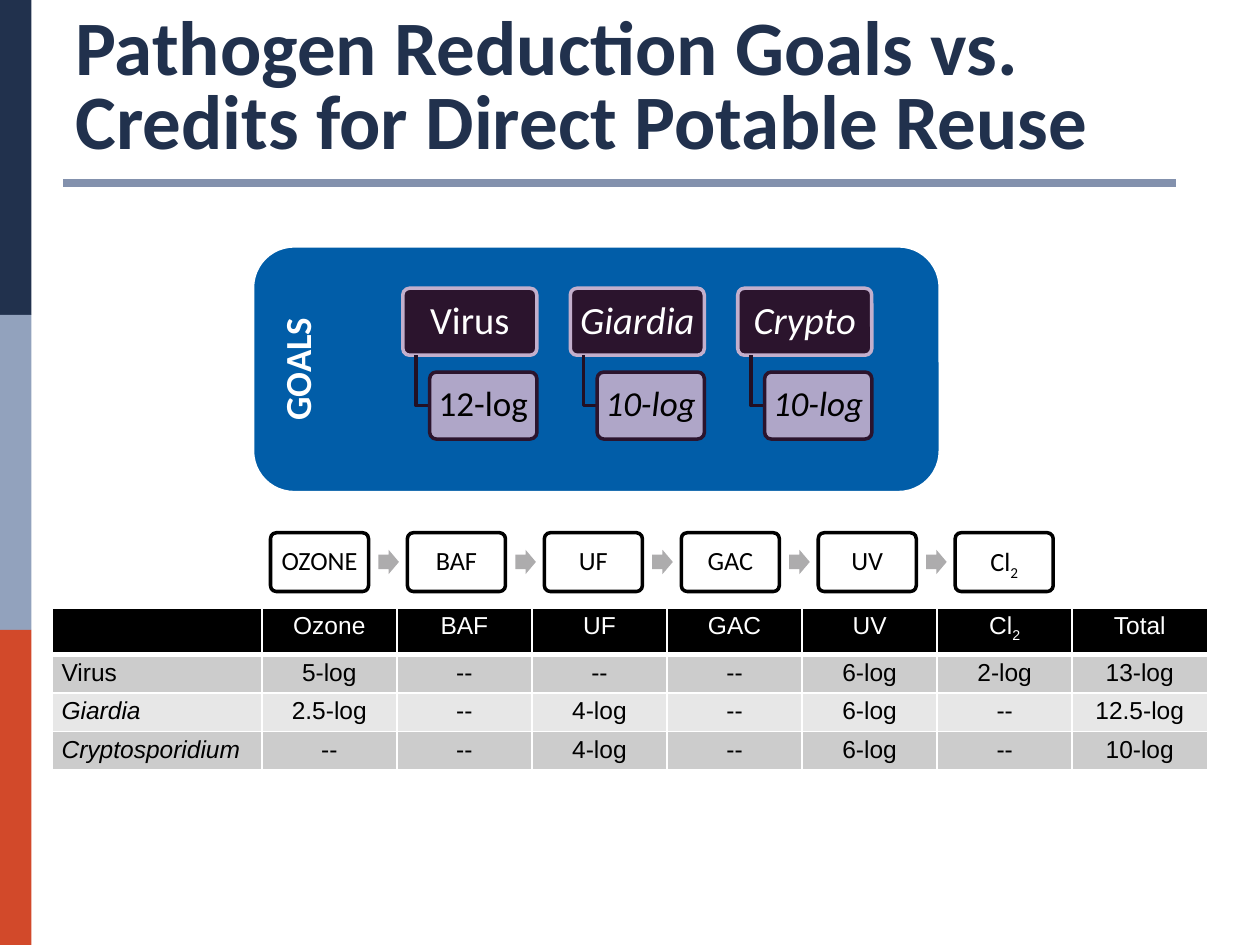
from lxml.etree import SubElement as Sub
from pptx import Presentation as Deck
from pptx.dml.color import RGBColor as Rgb
from pptx.enum.shapes import MSO_CONNECTOR as Link, MSO_SHAPE as Kind
from pptx.enum.text import MSO_ANCHOR as Anchor, PP_ALIGN as Align
from pptx.oxml.ns import qn
from pptx.util import Pt

NAVY, WHITE, BLACK = "21314D", "FFFFFF", "000000"
PLUM, LILAC = "2B142D", "C3AFCC"
BANDS = [NAVY, "92A2BD", "D2492A"]
GOALS = [("Virus", "12-log", False), ("Giardia", "10-log", True),
         ("Crypto", "10-log", True)]
STEPS = ["OZONE", "BAF", "UF", "GAC", "UV", "Cl_2"]
ROWS = [
    ["", "Ozone", "BAF", "UF", "GAC", "UV", "Cl_2", "Total"],
    ["Virus", "5-log", "--", "--", "--", "6-log", "2-log", "13-log"],
    ["Giardia", "2.5-log", "--", "4-log", "--", "6-log", "--", "12.5-log"],
    ["Cryptosporidium", "--", "--", "4-log", "--", "6-log", "--", "10-log"],
]


def paint(fmt, code):
    """Give a fill, line or font colour format a solid hex colour."""
    if hasattr(fmt, "solid"):
        fmt.solid()
        fmt = fmt.fore_color
    elif hasattr(fmt, "color"):
        fmt = fmt.color
    fmt.rgb = Rgb.from_string(code)


def write(frame, text, size, color=BLACK, font="Calibri", bold=False,
          ital=False, align=Align.CENTER, space=None):
    """Write one paragraph; the part after an underscore is a subscript."""
    para = frame.paragraphs[0]
    para.alignment = align
    if space:
        para.line_spacing = space
    base, _, low = text.partition("_")
    for part in filter(None, (base, low)):
        run = para.add_run()
        run.text = part
        face = run.font
        face.name, face.size, face.bold, face.italic = font, Pt(size), bold, ital
        paint(face, color)
        if part is low:
            run._r.get_or_add_rPr().set("baseline", "-25000")


def pad(frame, side, top):
    """Set the side and top margins of a text frame or table cell."""
    frame.margin_left = frame.margin_right = Pt(side)
    frame.margin_top = frame.margin_bottom = Pt(top)


def add_box(slide, kind, x, y, w, h, fill, line=None, width=2):
    """Add a flat preset shape with a fill and an optional outline."""
    box = slide.shapes.add_shape(kind, Pt(x), Pt(y), Pt(w), Pt(h))
    box.shadow.inherit = False
    paint(box.fill, fill)
    if line:
        paint(box.line, line)
        box.line.width = Pt(width)
    else:
        box.line.fill.background()
    return box


def add_card(slide, text, x, y, w, h, fill, line, size, **style):
    """Add a rounded card with centred text."""
    card = add_box(slide, Kind.ROUNDED_RECTANGLE, x, y, w, h, fill, line)
    card.adjustments[0] = 0.1
    frame = card.text_frame
    frame.word_wrap = True
    frame.vertical_anchor = Anchor.MIDDLE
    pad(frame, 2, 2)
    write(frame, text, size, space=0.9, **style)
    return card


def add_elbow(slide, x, y, w, h):
    """Draw the open elbow that joins a goal to its target."""
    path = slide.shapes.build_freeform(Pt(x), Pt(y))
    path.add_line_segments([(Pt(x), Pt(y + h)), (Pt(x + w), Pt(y + h))], close=False)
    elbow = path.convert_to_shape()
    elbow.shadow.inherit = False
    elbow.fill.background()
    paint(elbow.line, "221024")
    elbow.line.width = Pt(2)


def add_frame(slide):
    """Add the side bands, the title and its rule."""
    for i, code in enumerate(BANDS):
        add_box(slide, Kind.RECTANGLE, 0, 180 * i, 18, 180, code)
    rule = slide.shapes.add_connector(
        Link.STRAIGHT, Pt(36), Pt(104.4), Pt(671.8), Pt(104.4))
    paint(rule.line, "8391AD")
    rule.line.width = Pt(4.5)
    Sub(rule._element.spPr, qn("a:effectLst"))
    frame = slide.shapes.add_textbox(Pt(36), Pt(36), Pt(648), Pt(61.2)).text_frame
    frame.word_wrap = True
    frame.vertical_anchor = Anchor.BOTTOM
    write(frame, "Pathogen Reduction Goals vs. Credits for Direct Potable Reuse",
          44, NAVY, bold=True, align=Align.LEFT, space=0.8)


def add_goals(slide):
    """Add the goals panel with a pair of cards per pathogen."""
    panel = add_box(slide, Kind.ROUNDED_RECTANGLE, 144.8, 141, 392, 140,
                    "015DA8", WHITE, 1)
    frame = panel.text_frame
    frame._txBody.bodyPr.set("vert", "vert270")
    frame.vertical_anchor = Anchor.TOP
    pad(frame, 5.2, 2.6)
    write(frame, "GOALS", 21, WHITE, bold=True)
    for i, (name, goal, ital) in enumerate(GOALS):
        x = 230.2 + 95.7 * i
        add_card(slide, name, x, 164.7, 76.6, 38.3, PLUM, LILAC, 22,
                 color=WHITE, ital=ital)
        add_elbow(slide, x + 7.6, 203, 7.7, 28.7)
        card = add_card(slide, goal, x + 15.3, 212.6, 61.3, 38.3, LILAC, PLUM, 20,
                        ital=ital)
        tint = card._element.spPr.find(qn("a:solidFill"))[0]
        Sub(tint, qn("a:alpha")).set("val", "90000")


def add_steps(slide):
    """Add the treatment train with an arrow between steps."""
    for i, name in enumerate(STEPS):
        x = 154.6 + 78.25 * i
        add_card(slide, name, x, 304.4, 56, 33.6, WHITE, BLACK, 15)
        if i < len(STEPS) - 1:
            arrow = add_box(slide, Kind.RIGHT_ARROW, x + 61.6, 314.2, 11.8, 13.9,
                            "ADACAD")
            arrow.adjustments[0] = 0.6


def edge(cell, low):
    """Give a cell white borders, the bottom one of the given width."""
    props = cell._tc.get_or_add_tcPr()
    for i, side in enumerate(("lnL", "lnR", "lnT", "lnB")):
        line = props.makeelement(qn("a:" + side),
                                 {"w": str(Pt(low if side == "lnB" else 1))})
        fill = Sub(line, qn("a:solidFill"))
        Sub(fill, qn("a:srgbClr")).set("val", WHITE)
        props.insert(i, line)


def add_grid(slide):
    """Add the table of credits per step."""
    grid = slide.shapes.add_table(len(ROWS), len(ROWS[0]), Pt(30), Pt(347.3),
                                  Pt(660), Pt(88)).table
    for j, col in enumerate(grid.columns):
        col.width = Pt(77.2 if j else 119.6)
    for i, row in enumerate(ROWS):
        grid.rows[i].height = Pt(22)
        for j, text in enumerate(row):
            cell = grid.cell(i, j)
            paint(cell.fill, ("CCCCCC" if i % 2 else "E7E7E7") if i else BLACK)
            edge(cell, 1 if i else 3)
            pad(cell, 5.2, 2.6)
            write(cell.text_frame, text, 14, BLACK if i else WHITE, "Arial",
                  ital=i > 1 and j == 0, align=Align.CENTER if j else Align.LEFT)


def main():
    """Build the slide and save it."""
    deck = Deck()
    deck.slide_width, deck.slide_height = Pt(720), Pt(540)
    slide = deck.slides.add_slide(deck.slide_layouts[6])
    add_frame(slide)
    add_goals(slide)
    add_steps(slide)
    add_grid(slide)
    deck.save("out.pptx")


if __name__ == "__main__":
    main()
